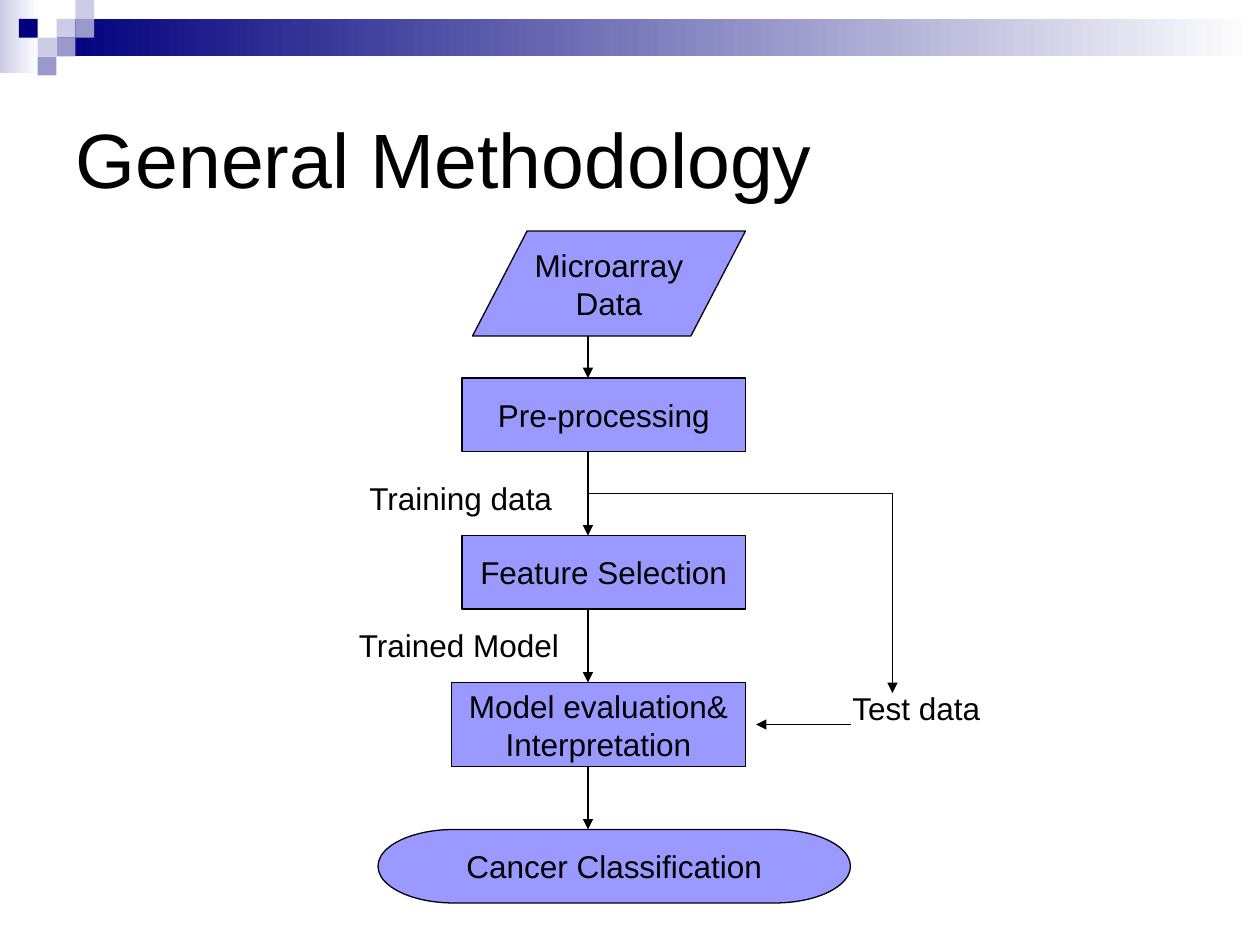
from dataclasses import dataclass

from lxml.etree import SubElement
from pptx import Presentation
from pptx.dml.color import RGBColor
from pptx.enum.shapes import MSO_CONNECTOR, MSO_SHAPE
from pptx.enum.text import MSO_ANCHOR, MSO_AUTO_SIZE, PP_ALIGN
from pptx.oxml.ns import qn
from pptx.util import Cm, Pt


@dataclass(frozen=True)
class Theme:
    font: str = "Arial"
    title_size: int = 44
    body_size: int = 18
    line_width: float = 0.75
    ink: str = "000000"
    box: str = "9999FF"
    navy: str = "00007D"
    mid: str = "9999CC"
    pale: str = "CCCCE6"
    white: str = "FFFFFF"


THEME = Theme()
GRID = 2.54 / 12  # cm per flowchart grid unit
TILE = 0.38       # cm per header tile

TITLE = "General Methodology"

# left, top, width, height in cm; colour at the left end, fading to white
BANDS = [
    (0, 0, 0.79, 1.47, THEME.pale),
    (1.14, 0.38, 24.26, 0.76, THEME.navy),
]
# column, row, colour
TILES = [
    (3, 1, THEME.pale), (4, 0, THEME.pale), (4, 1, THEME.mid),
    (2, 2, THEME.pale), (1, 1, THEME.navy), (3, 2, THEME.mid),
    (2, 3, THEME.mid),
]

# Flowchart: left, top, width, height in grid units
STEPS = [
    ("Microarray\nData", MSO_SHAPE.FLOWCHART_DATA, (45, 22, 26, 10)),
    ("Pre-processing", MSO_SHAPE.FLOWCHART_PROCESS, (44, 36, 27, 7)),
    ("Feature Selection", MSO_SHAPE.FLOWCHART_PROCESS, (44, 51, 27, 7)),
    ("Model evaluation&\nInterpretation", MSO_SHAPE.FLOWCHART_PROCESS, (43, 65, 28, 8)),
    ("Cancer Classification", MSO_SHAPE.FLOWCHART_TERMINATOR, (36, 79, 45, 7)),
]
LABELS = [
    ("Training data", (34, 45, 26, 4.8)),
    ("Trained Model", (33, 59, 25, 4.8)),
    ("Test data", (80, 65, 21, 4.8)),
]
FLOW_X = 56
TEST_X, SPLIT_Y = 85, 47
# start, end, arrowhead at the end
BRANCHES = [
    ((FLOW_X, 65), (FLOW_X, 65), True),
    ((FLOW_X, SPLIT_Y), (TEST_X, SPLIT_Y), False),
    ((TEST_X, SPLIT_Y), (TEST_X, 66), True),
    ((81, 69), (72, 69), True),
]


def rgb(colour):
    return RGBColor.from_string(colour)


def on_grid(values):
    return [Cm(v * GRID) for v in values]


def write(tf, text, size, align):
    tf.text = text
    for p in tf.paragraphs:
        p.alignment = align
        for r in p.runs:
            r.font.name = THEME.font
            r.font.size = Pt(size)
            r.font.color.rgb = rgb(THEME.ink)


def add_block(s, kind, box):
    sp = s.shapes.add_shape(kind, *box)
    sp.shadow.inherit = False
    sp.line.fill.background()
    return sp


def add_header(s):
    for *box, colour in BANDS:
        fill = add_block(s, MSO_SHAPE.RECTANGLE, [Cm(v) for v in box]).fill
        fill.gradient()
        fill.gradient_angle = 0
        for stop, stop_colour in zip(fill.gradient_stops, (colour, THEME.white)):
            stop.color.rgb = rgb(stop_colour)
    for col, row, colour in TILES:
        box = [Cm(v * TILE) for v in (col, row, 1, 1)]
        fill = add_block(s, MSO_SHAPE.RECTANGLE, box).fill
        fill.solid()
        fill.fore_color.rgb = rgb(colour)


def add_title(s):
    sp = s.shapes.title
    sp.left, sp.top, sp.width, sp.height = Cm(1.27), Cm(1.27), Cm(22.86), Cm(3.81)
    sp.text_frame.vertical_anchor = MSO_ANCHOR.MIDDLE
    write(sp.text_frame, TITLE, THEME.title_size, PP_ALIGN.LEFT)


def add_step(s, text, kind, box):
    sp = add_block(s, kind, on_grid(box))
    sp.fill.solid()
    sp.fill.fore_color.rgb = rgb(THEME.box)
    sp.line.color.rgb = rgb(THEME.ink)
    sp.line.width = Pt(THEME.line_width)
    tf = sp.text_frame
    tf.word_wrap = False
    tf.vertical_anchor = MSO_ANCHOR.MIDDLE
    write(tf, text, THEME.body_size, PP_ALIGN.CENTER)


def add_label(s, text, box):
    tf = s.shapes.add_textbox(*on_grid(box)).text_frame
    tf.word_wrap = True
    tf.auto_size = MSO_AUTO_SIZE.SHAPE_TO_FIT_TEXT
    write(tf, text, THEME.body_size, PP_ALIGN.LEFT)


def add_line(s, start, end, arrow):
    cx = s.shapes.add_connector(MSO_CONNECTOR.STRAIGHT, *on_grid(start + end))
    cx.line.color.rgb = rgb(THEME.ink)
    cx.line.width = Pt(THEME.line_width)
    if arrow:
        SubElement(cx.line._get_or_add_ln(), qn("a:tailEnd"), type="triangle")
    SubElement(cx._element.spPr, qn("a:effectLst"))


def main():
    prs = Presentation()
    prs.slide_width, prs.slide_height = Cm(25.4), Cm(19.05)
    s = prs.slides.add_slide(prs.slide_layouts[5])
    add_header(s)
    add_title(s)
    for step in STEPS:
        add_step(s, *step)
    for (_, _, upper), (_, _, lower) in zip(STEPS, STEPS[1:]):
        add_line(s, (FLOW_X, upper[1] + upper[3]), (FLOW_X, lower[1]), True)
    for branch in BRANCHES:
        add_line(s, *branch)
    for label in LABELS:
        add_label(s, *label)
    prs.save("out.pptx")


if __name__ == "__main__":
    main()
